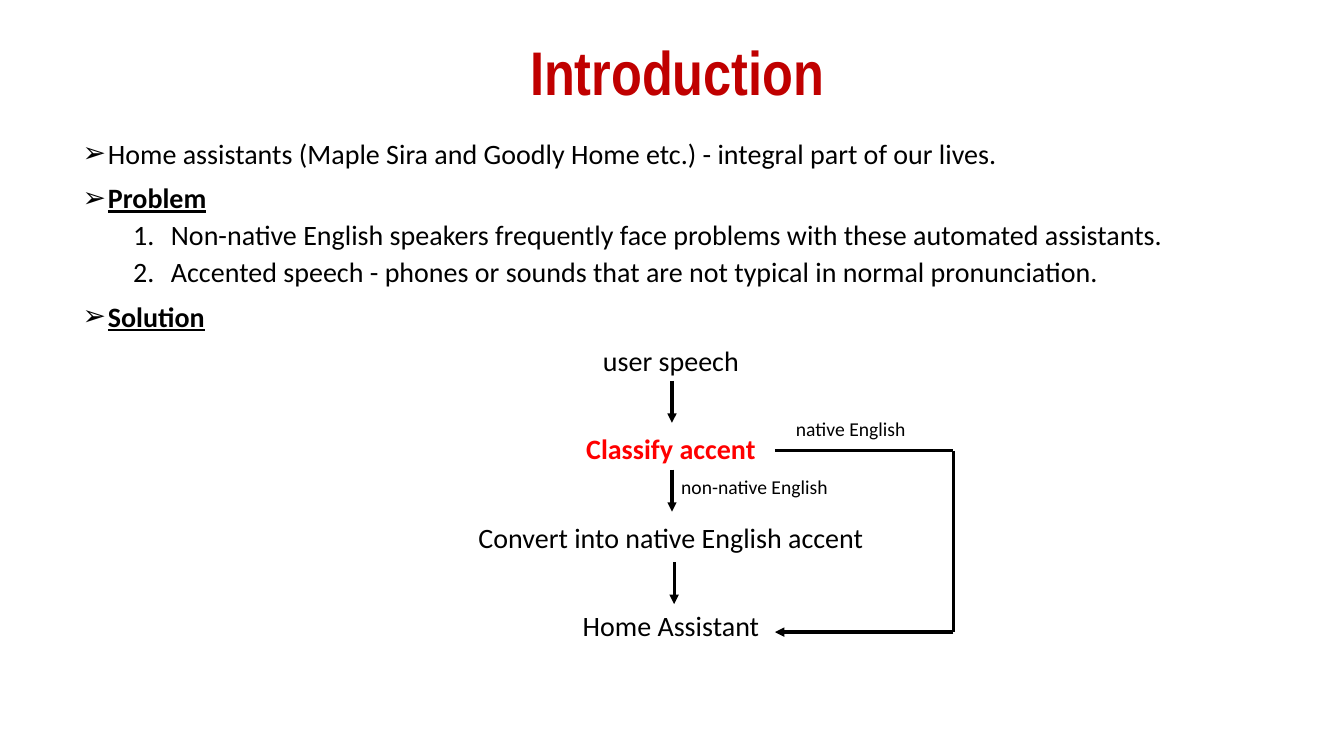
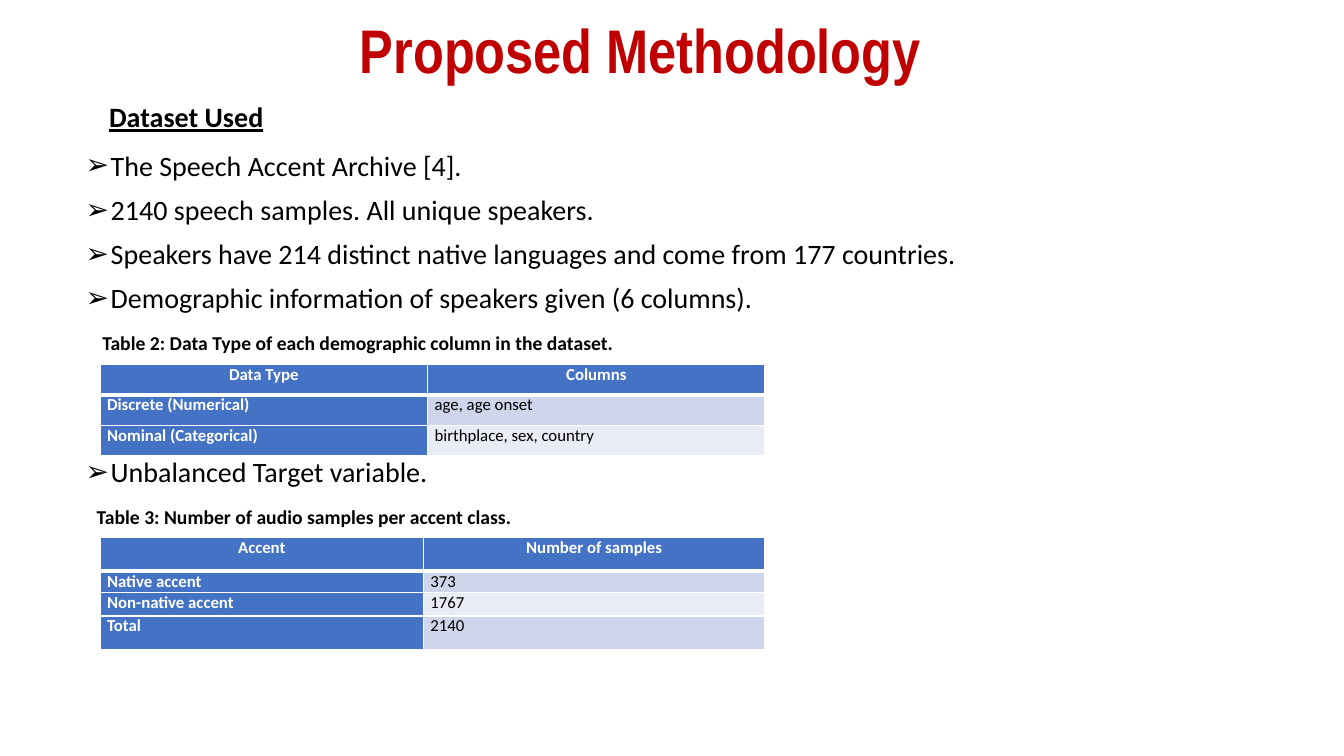
from dataclasses import dataclass

from lxml import etree
from pptx import Presentation
from pptx.dml.color import RGBColor
from pptx.enum.shapes import MSO_CONNECTOR
from pptx.enum.text import MSO_ANCHOR, PP_ALIGN
from pptx.oxml.ns import qn
from pptx.util import Pt

LEFT, CENTER, FULL = PP_ALIGN.LEFT, PP_ALIGN.CENTER, PP_ALIGN.JUSTIFY
TOP, MIDDLE = MSO_ANCHOR.TOP, MSO_ANCHOR.MIDDLE
LINE = MSO_CONNECTOR.STRAIGHT


@dataclass(frozen=True)
class Theme:
    head_font: str = "Arial Narrow"
    font: str = "Calibri"
    ink: str = "000000"
    title: str = "C00000"
    alert: str = "FF0000"
    white: str = "FFFFFF"
    head: str = "4472C4"
    bands: tuple = ("CFD5EA", "E9EBF5")
    title_size: float = 44
    body_size: float = 20
    note_size: float = 14
    cell_size: float = 12
    line: float = 2.25


THEME = Theme()


@dataclass(frozen=True)
class Para:
    """One line of text: its marker is "arrow", "number" or empty."""
    text: str
    mark: str = ""
    align: int = LEFT
    before: float = 10
    indent: float = 0
    size: float = THEME.body_size
    color: str = THEME.ink
    font: str = THEME.font
    bold: bool = False
    under: bool = False


def add_run(par, item):
    run = par.add_run()
    run.text = item.text
    font = run.font
    font.name, font.size = item.font, Pt(item.size)
    font.bold, font.underline = item.bold, item.under
    font.color.rgb = RGBColor.from_string(item.color)


def set_mark(par, mark, indent):
    props = par._p.get_or_add_pPr()
    left, hang = {"arrow": (18, 18), "number": (63, 27)}.get(mark, (indent, 0))
    props.set("marL", str(Pt(left)))
    props.set("indent", str(-Pt(hang)))
    if mark == "arrow":
        etree.SubElement(props, qn("a:buFont"), typeface=THEME.font)
        etree.SubElement(props, qn("a:buChar"), char="➢")
    elif mark == "number":
        etree.SubElement(props, qn("a:buFont"), typeface="+mj-lt")
        etree.SubElement(props, qn("a:buAutoNum"), type="arabicPeriod")
    else:
        etree.SubElement(props, qn("a:buNone"))


def add_text(slide, box, items, anchor=TOP, spacing=0.9):
    frame = slide.shapes.add_textbox(*map(Pt, box)).text_frame
    frame.word_wrap = True
    frame.vertical_anchor = anchor
    for i, item in enumerate(items):
        par = frame.add_paragraph() if i else frame.paragraphs[0]
        par.alignment = item.align
        par.line_spacing = spacing
        par.space_before = Pt(item.before)
        set_mark(par, item.mark, item.indent)
        add_run(par, item)


def add_title(slide, box, text):
    add_text(slide, box, [Para(
        text, align=CENTER, before=0, size=THEME.title_size,
        color=THEME.title, font=THEME.head_font, bold=True)], MIDDLE)


def add_label(slide, box, text):
    add_text(slide, box, [Para(text, before=0, size=THEME.note_size)], spacing=1)


def add_path(slide, points):
    """Join the points with straight lines and put an arrowhead on the last."""
    for start, end in zip(points, points[1:]):
        line = slide.shapes.add_connector(LINE, *map(Pt, start + end))
        line.line.width = Pt(THEME.line)
        line.line.color.rgb = RGBColor.from_string(THEME.ink)
        etree.SubElement(line._element.spPr, qn("a:effectLst"))
    etree.SubElement(line.line._get_or_add_ln(), qn("a:tailEnd"), type="triangle")


def set_edges(cell, top, bottom):
    props = cell._tc.get_or_add_tcPr()
    for side, width in (("L", 1), ("R", 1), ("T", top), ("B", bottom)):
        edge = etree.SubElement(props, qn("a:ln" + side), w=str(Pt(width)))
        fill = etree.SubElement(edge, qn("a:solidFill"))
        etree.SubElement(fill, qn("a:srgbClr"), val=THEME.white)


def fill_cell(cell, text, row, col):
    label = row == 0 or col == 0
    cell.margin_left = cell.margin_right = Pt(5)
    cell.margin_top = cell.margin_bottom = 0
    set_edges(cell, 3 if row == 1 else 1, 1 if row else 3)
    cell.fill.solid()
    shade = THEME.head if label else THEME.bands[(row - 1) % 2]
    cell.fill.fore_color.rgb = RGBColor.from_string(shade)
    par = cell.text_frame.paragraphs[0]
    par.alignment = LEFT if row else CENTER
    add_run(par, Para(text, size=THEME.cell_size, bold=label,
                      color=THEME.white if label else THEME.ink))


def add_grid(slide, spot, widths, heights, rows):
    size = sum(widths), sum(heights)
    table = slide.shapes.add_table(
        len(rows), len(widths), *map(Pt, spot + size)).table
    for col, width in zip(table.columns, widths):
        col.width = Pt(width)
    for row, height in zip(table.rows, heights):
        row.height = Pt(height)
    for r, texts in enumerate(rows):
        for c, text in enumerate(texts):
            fill_cell(table.cell(r, c), text, r, c)


def add_intro(slide):
    add_title(slide, (70, 1.5, 828, 104.5), "Introduction")
    gap = 41.5
    add_text(slide, (52, 96.5, 854.5, 357), [
        Para("Home assistants (Maple Sira and Goodly Home etc.) - "
             "integral part of our lives.", "arrow", FULL),
        Para("Problem", "arrow", FULL, bold=True, under=True),
        Para("Non-native English speakers frequently face problems with "
             "these automated assistants.", "number", FULL, 5),
        Para("Accented speech - phones or sounds that are not typical in "
             "normal pronunciation.", "number", FULL, 5),
        Para("Solution", "arrow", FULL, bold=True, under=True),
        Para("user speech", align=CENTER),
        Para("Classify accent", align=CENTER, before=gap,
             color=THEME.alert, bold=True),
        Para("Convert into native English accent", align=CENTER, before=gap),
        Para("Home Assistant", align=CENTER, before=gap),
    ])
    for x, y in ((480, 272), (480, 335.5), (481.5, 401.5)):
        add_path(slide, [(x, y), (x, y + 30)])
    near, far, top, bottom = 553.5, 681, 322, 451.5
    add_path(slide, [(near, top), (far, top), (far, bottom), (near, bottom)])
    add_label(slide, (561.5, 294.5, 111, 24.5), "native English")
    add_label(slide, (479.5, 335.5, 124.5, 24.5), "non-native English")


def add_method(slide):
    add_title(slide, (88.5, 0, 738.5, 76.5), "Proposed Methodology")
    add_text(slide, (68.5, 65.5, 129, 38), [Para(
        "Dataset Used", align=CENTER, before=0, bold=True, under=True)], MIDDLE)
    note = {"before": 13.5, "size": THEME.note_size, "bold": True}
    add_text(slide, (54, 105, 765.5, 330), [
        Para("The Speech Accent Archive [4].", "arrow"),
        Para("2140 speech samples. All unique speakers.", "arrow"),
        Para("Speakers have 214 distinct native languages and come from "
             "177 countries.", "arrow"),
        Para("Demographic information of speakers given (6 columns).", "arrow"),
        Para("Table 2: Data Type of each demographic column in the dataset.",
             indent=12, **note),
        Para("Unbalanced Target variable.", "arrow", before=74),
        Para("Table 3: Number of audio samples per accent class.",
             indent=8, **note),
    ])
    add_grid(slide, (71.5, 260.5), (234, 241), (21.6,) * 3, [
        ("Data Type", "Columns"),
        ("Discrete (Numerical)", "age, age onset"),
        ("Nominal (Categorical)", "birthplace, sex, country"),
    ])
    add_grid(slide, (71.5, 384), (231, 244), (24, 15.5, 16.5, 24), [
        ("Accent", "Number of samples"),
        ("Native accent", "373"),
        ("Non-native accent", "1767"),
        ("Total", "2140"),
    ])


def main():
    deck = Presentation()
    deck.slide_width, deck.slide_height = Pt(960), Pt(540)
    blank = deck.slide_layouts[6]
    for build in (add_intro, add_method):
        build(deck.slides.add_slide(blank))
    deck.save("out.pptx")


if __name__ == "__main__":
    main()
